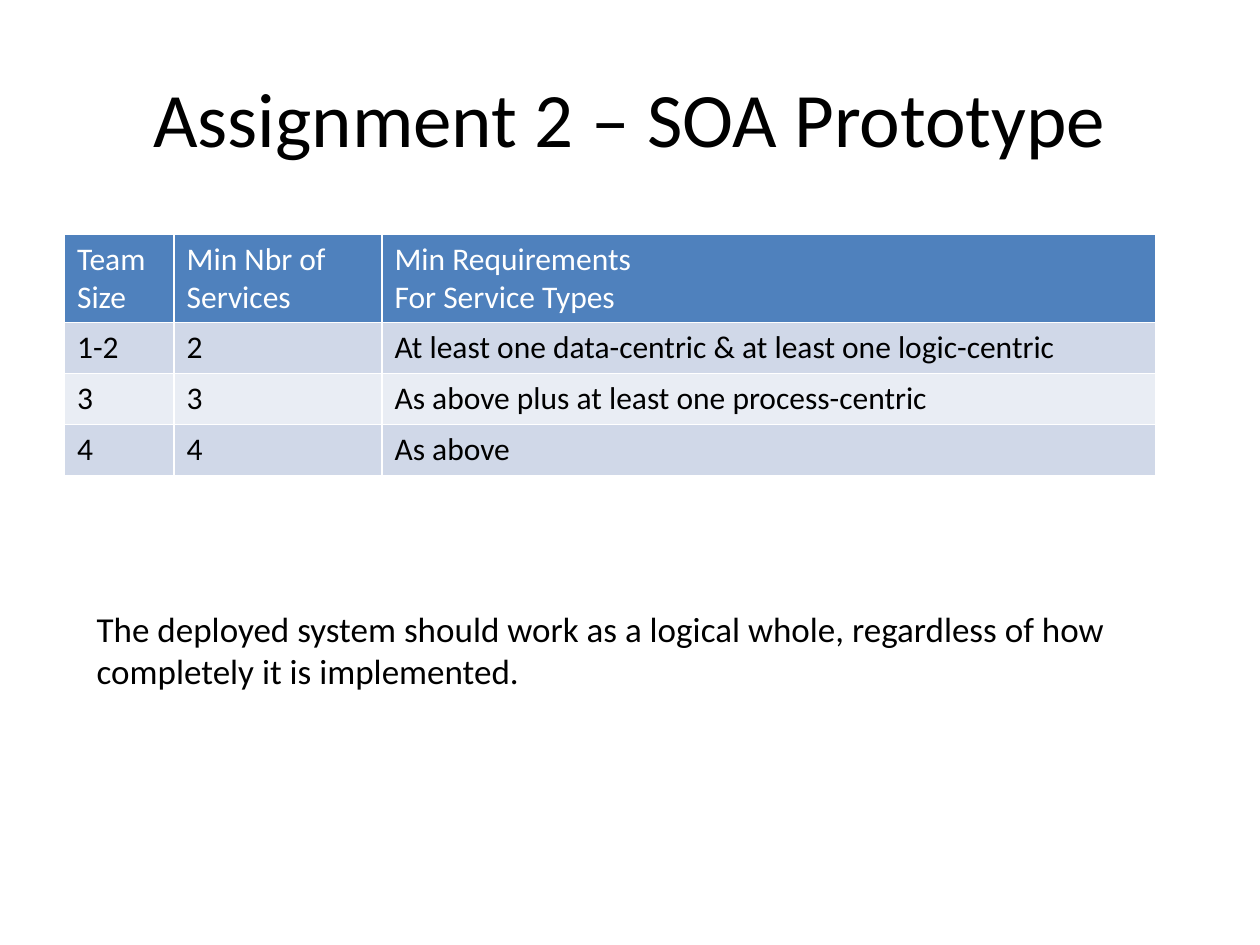
"""Build the assignment slide with its table of service requirements."""
from dataclasses import dataclass
from typing import Any

from pptx import Presentation
from pptx import util as u
from pptx.dml.color import RGBColor
from pptx.enum import text

BLACK = RGBColor(0x00, 0x00, 0x00)
WHITE = RGBColor(0xFF, 0xFF, 0xFF)
HEADER_BLUE = RGBColor(0x4F, 0x81, 0xBD)
BAND_DARK = RGBColor(0xD0, 0xD8, 0xE8)
BAND_LIGHT = RGBColor(0xE9, 0xED, 0xF4)


@dataclass(frozen=True)
class TextBlock:
    wording: str
    box: tuple[float, float, float, float]
    size: int
    alignment: text.PP_ALIGN
    anchor: text.MSO_ANCHOR


@dataclass(frozen=True)
class TableRow:
    cells: tuple[str, str, str]
    height: float
    fill: RGBColor
    color: RGBColor = BLACK


TEXT_BLOCKS = (
    TextBlock("Assignment 2 – SOA Prototype", (1.27, 0.76, 22.86, 3.18), 44,
              text.PP_ALIGN.CENTER, text.MSO_ANCHOR.MIDDLE),
    TextBlock("The deployed system should work as a logical whole, "
              "regardless of how completely it is implemented.",
              (1.7, 12.12, 21.41, 1.96), 20,
              text.PP_ALIGN.LEFT, text.MSO_ANCHOR.TOP),
)
COLUMN_WIDTHS = (2.21, 4.19, 15.6)
TABLE_ROWS = (
    TableRow(("Team \nSize", "Min Nbr of \nServices",
              "Min Requirements\nFor Service Types"), 1.78, HEADER_BLUE, WHITE),
    TableRow(("1-2", "2", "At least one data-centric & at least one logic-centric"),
             1.03, BAND_DARK),
    TableRow(("3", "3", "As above plus at least one process-centric"), 1.03, BAND_LIGHT),
    TableRow(("4", "4", "As above"), 1.03, BAND_DARK),
)


def write_text(frame: Any, wording: str, size: int, color: RGBColor,
               alignment: text.PP_ALIGN = text.PP_ALIGN.LEFT) -> None:
    frame.text = wording
    font_format = {"name": "Calibri", "size": u.Pt(size), "bold": False}
    for paragraph in frame.paragraphs:
        paragraph.alignment = alignment
        for run in paragraph.runs:
            for attribute, value in font_format.items():
                setattr(run.font, attribute, value)
            run.font.color.rgb = color


def add_text_block(slide: Any, block: TextBlock) -> None:
    shape = slide.shapes.add_textbox(*map(u.Cm, block.box))
    frame_format = {"word_wrap": True, "vertical_anchor": block.anchor}
    for attribute, value in frame_format.items():
        setattr(shape.text_frame, attribute, value)
    write_text(shape.text_frame, block.wording, block.size, BLACK, block.alignment)


def add_requirements_table(slide: Any, left: float, top: float) -> None:
    width = sum(COLUMN_WIDTHS)
    height = sum(row.height for row in TABLE_ROWS)
    table = slide.shapes.add_table(len(TABLE_ROWS), len(COLUMN_WIDTHS),
                                   *map(u.Cm, (left, top, width, height))).table
    for column, column_width in zip(table.columns, COLUMN_WIDTHS):
        column.width = u.Cm(column_width)
    for table_row, row in zip(table.rows, TABLE_ROWS):
        table_row.height = u.Cm(row.height)
        for cell, wording in zip(table_row.cells, row.cells):
            cell.fill.solid()
            cell.fill.fore_color.rgb = row.fill
            write_text(cell.text_frame, wording, 18, row.color)


def main() -> None:
    presentation = Presentation()
    presentation.slide_width, presentation.slide_height = u.Cm(25.4), u.Cm(19.05)
    slide = presentation.slides.add_slide(presentation.slide_layouts[6])
    title, closing_note = TEXT_BLOCKS
    add_text_block(slide, title)
    add_requirements_table(slide, 1.3, 4.72)
    add_text_block(slide, closing_note)
    presentation.save("out.pptx")


main()
